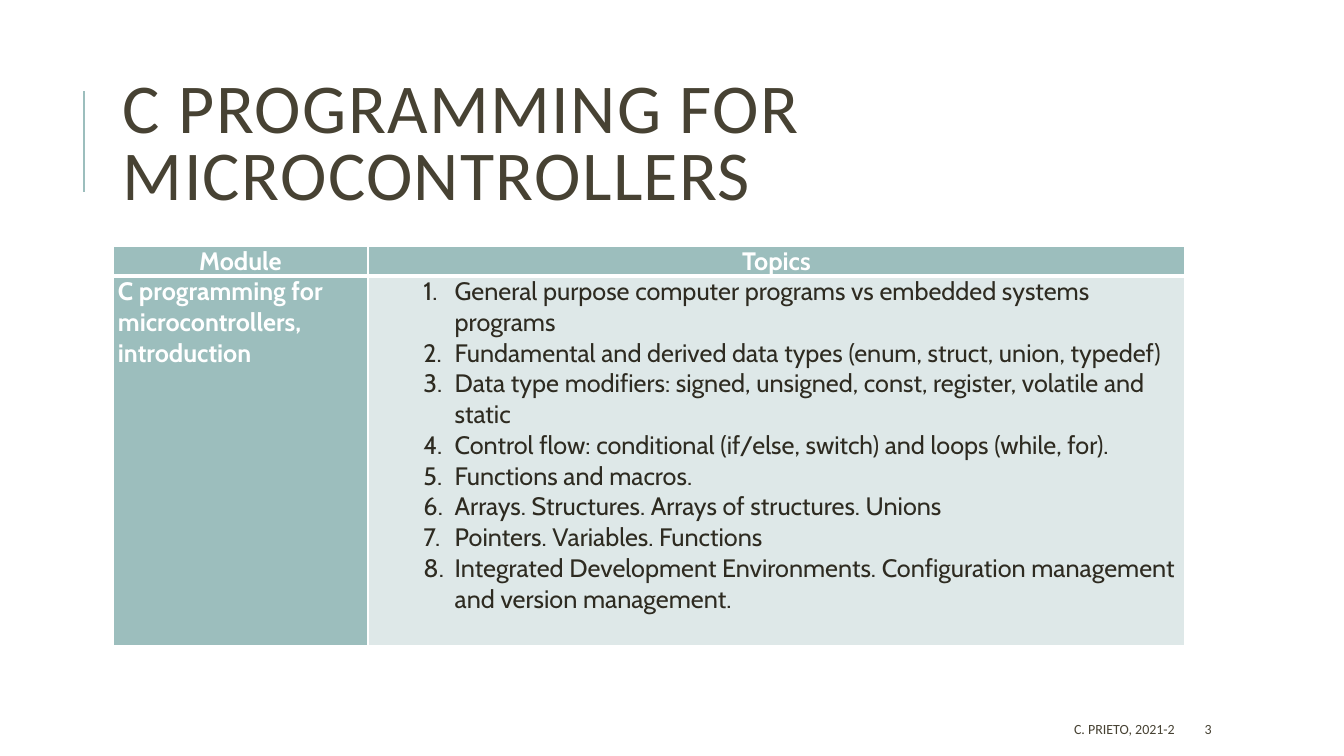
from pptx import Presentation
from pptx.dml.color import RGBColor
from pptx.enum.shapes import MSO_CONNECTOR
from pptx.enum.text import MSO_ANCHOR, PP_ALIGN
from pptx.oxml.ns import qn
from pptx.util import Inches, Pt
from lxml import etree

STRAIGHT = MSO_CONNECTOR.STRAIGHT
MIDDLE = MSO_ANCHOR.MIDDLE
LEFT, CENTER, RIGHT = PP_ALIGN.LEFT, PP_ALIGN.CENTER, PP_ALIGN.RIGHT

COLORS = {
    "accent": "9CBEBD",
    "pale": "DEE8E8",
    "title": "474233",
    "body": "2E2B21",
    "white": "FFFFFF",
}

TOPICS = [
    "General purpose computer programs vs embedded systems programs",
    "Fundamental and derived data types (enum, struct, union, typedef)",
    "Data type modifiers: signed, unsigned, const, register, volatile and static",
    "Control flow: conditional (if/else, switch) and loops (while, for).",
    "Functions and macros.",
    "Arrays. Structures. Arrays of structures. Unions",
    "Pointers. Variables. Functions",
    "Integrated Development Environments. Configuration management and version management.",
]


class SlideBuilder:
    heading_font = "Calibri"
    table_font = "Cabin"

    def __init__(self, slide):
        self.slide = slide

    def color(self, name):
        return RGBColor.from_string(COLORS[name])

    def style(self, paragraph, font_name, size, color, bold=False):
        font = paragraph.font
        font.name = font_name
        font.size = Pt(size)
        font.bold = bold
        font.color.rgb = self.color(color)

    def line(self, x, top, bottom):
        connector = self.slide.shapes.add_connector(
            STRAIGHT, Inches(x), Inches(bottom), Inches(x), Inches(top))
        connector.line.color.rgb = self.color("accent")
        connector.line.width = Pt(1.5)
        etree.SubElement(connector._element.spPr, qn("a:effectLst"))

    def text(self, box, text, size, alignment=LEFT):
        shape = self.slide.shapes.add_textbox(*map(Inches, box))
        frame = shape.text_frame
        frame.word_wrap = True
        frame.vertical_anchor = MIDDLE
        paragraph = frame.paragraphs[0]
        paragraph.text = text
        paragraph.alignment = alignment
        self.style(paragraph, self.heading_font, size, "title")
        return paragraph

    def title(self, box, text):
        paragraph = self.text(box, text, 50)
        paragraph.line_spacing = 0.8
        paragraph._p.pPr.find(qn("a:defRPr")).set("spc", "100")

    def table(self, left, top, widths, heights):
        table = self.slide.shapes.add_table(
            len(heights), len(widths), Inches(left), Inches(top),
            Inches(sum(widths)), Inches(sum(heights))).table
        table.first_row = False
        table.horz_banding = False
        for column, width in zip(table.columns, widths):
            column.width = Inches(width)
        for row, height in zip(table.rows, heights):
            row.height = Inches(height)
        return table

    def borders(self, cell, bottom, top):
        properties = cell._tc.get_or_add_tcPr()
        for side, width in (("L", 1), ("R", 1), ("T", top), ("B", bottom)):
            border = etree.SubElement(properties, qn(f"a:ln{side}"), w=str(Pt(width)))
            fill = etree.SubElement(border, qn("a:solidFill"))
            etree.SubElement(fill, qn("a:srgbClr"), val=COLORS["white"])

    def cell(self, cell, lines, fill, color, bold=True, alignment=LEFT,
             numbered=False, top=1, bottom=1):
        cell.margin_left = cell.margin_right = Inches(0.05)
        cell.margin_top = cell.margin_bottom = 0
        self.borders(cell, bottom, top)
        cell.fill.solid()
        cell.fill.fore_color.rgb = self.color(fill)
        cell.text = "\n".join(lines)
        for paragraph in cell.text_frame.paragraphs:
            paragraph.alignment = alignment
            if numbered:
                self.number(paragraph)
            self.style(paragraph, self.table_font, 18, color, bold)

    def number(self, paragraph):
        paragraph.level = 1
        properties = paragraph._p.get_or_add_pPr()
        properties.set("marL", str(Inches(0.81)))
        properties.set("indent", str(Inches(-0.31)))
        etree.SubElement(properties, qn("a:buFont"), typeface="+mj-lt")
        etree.SubElement(properties, qn("a:buAutoNum"), type="arabicPeriod")


def main():
    presentation = Presentation()
    presentation.slide_width = Inches(13.33)
    presentation.slide_height = Inches(7.5)
    builder = SlideBuilder(presentation.slides.add_slide(presentation.slide_layouts[6]))

    builder.line(0.83, 0.9, 1.9)
    builder.title((1.12, 0.64, 10.63, 1.64), "C PROGRAMMING FOR MICROCONTROLLERS")

    table = builder.table(1.12, 2.44, (2.53, 8.1), (0.3, 3.66))
    for column, heading in enumerate(("Module", "Topics")):
        builder.cell(table.cell(0, column), [heading], "accent", "white",
                     alignment=CENTER, bottom=3)
    builder.cell(table.cell(1, 0), ["C programming for microcontrollers, introduction"],
                 "accent", "white", top=3)
    builder.cell(table.cell(1, 1), TOPICS, "pale", "body", bold=False,
                 numbered=True, top=3)

    builder.text((5.3, 7.08, 6.45, 0.3), "C. PRIETO, 2021-2", 10, RIGHT)
    builder.text((11.85, 7.08, 1.06, 0.3), "3", 10)
    presentation.save("out.pptx")


if __name__ == "__main__":
    main()
